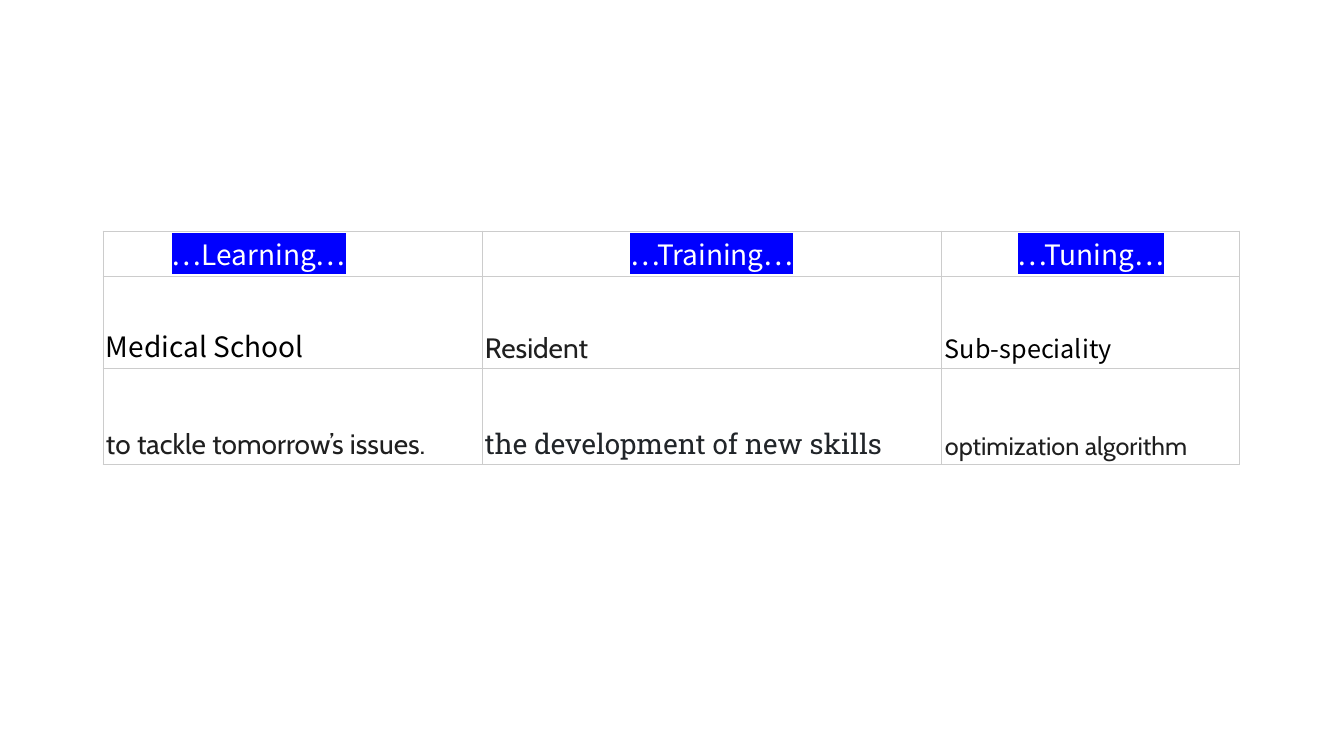
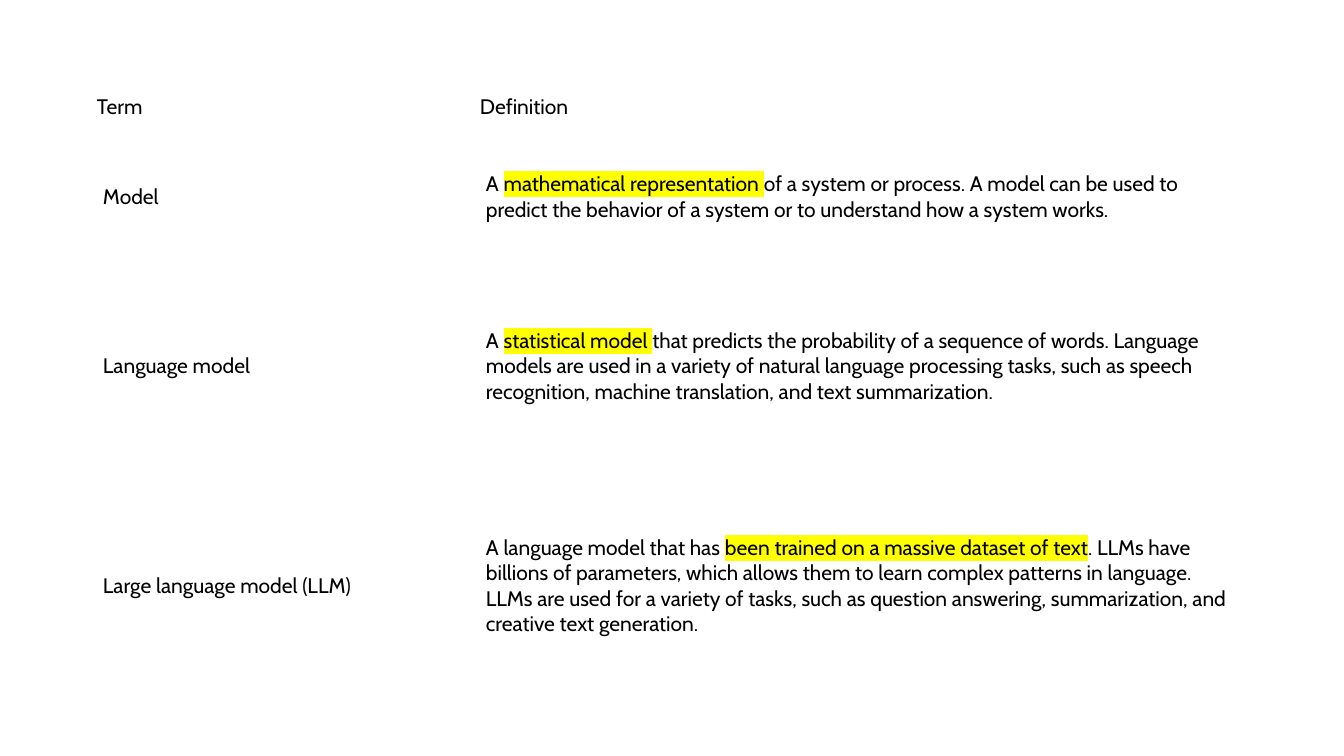
from lxml.etree import SubElement
from pptx import Presentation
from pptx.dml.color import RGBColor
from pptx.enum.text import MSO_ANCHOR, PP_ALIGN
from pptx.oxml.ns import qn
from pptx.util import Emu, Pt

COLORS = {
    "white": "FFFFFF", "black": "000000", "ink": "1F1F1F", "slate": "212529",
    "grid": "CCCCCC", "blue": "0000FF", "yellow": "FFFF00",
}
CABIN, NOTO, ROBOTO = "Cabin", "Noto Sans CJK KR", "Roboto Slab"


class Deck:
    """Slides with plain tables in one shared style."""

    def __init__(self, width, height):
        self.prs = Presentation()
        self.prs.slide_width, self.prs.slide_height = self.px(width), self.px(height)

    def px(self, n):
        return Emu(round(n * 914400 / 100.8))

    def slide(self):
        self.s = self.prs.slides.add_slide(self.prs.slide_layouts[6])

    def table(self, x, y, cols, rows):
        frame = self.s.shapes.add_table(
            len(rows), len(cols), self.px(x), self.px(y), self.px(sum(cols)), self.px(sum(rows)))
        table = frame.table
        table.first_row = table.horz_banding = False
        for col, width in zip(table.columns, cols):
            col.width = self.px(width)
        for row, height in zip(table.rows, rows):
            row.height = self.px(height)
        return table

    def border(self, cell, color):
        tc_pr = cell._tc.get_or_add_tcPr()
        for side in ("a:lnL", "a:lnR", "a:lnT", "a:lnB"):
            ln = SubElement(tc_pr, qn(side), w=str(Pt(0.75)))
            SubElement(SubElement(ln, qn("a:solidFill")), qn("a:srgbClr"), val=COLORS[color])

    def cell(self, cell, runs, size, font, color, inset, anchor, align=PP_ALIGN.LEFT):
        cell.fill.solid()
        cell.fill.fore_color.rgb = RGBColor.from_string(COLORS["white"])
        cell.margin_left = cell.margin_right = self.px(inset[0])
        cell.margin_top = cell.margin_bottom = self.px(inset[1])
        cell.vertical_anchor = anchor
        p = cell.text_frame.paragraphs[0]
        p.alignment = align
        p.font.size, p.font.name = Pt(size), font
        p.font.color.rgb = RGBColor.from_string(COLORS[color])
        for text, highlight in runs:
            r = p.add_run()
            r.text = text
            if highlight:
                mark = SubElement(r._r.get_or_add_rPr(), qn("a:highlight"))
                SubElement(mark, qn("a:srgbClr"), val=COLORS[highlight])

    def tab_stop(self, cell, start, pos):
        cell.margin_left = self.px(start)
        p_pr = cell.text_frame.paragraphs[0]._p.get_or_add_pPr()
        tabs = p_pr.makeelement(qn("a:tabLst"))
        SubElement(tabs, qn("a:tab"), pos=str(self.px(pos)), algn="l")
        p_pr.insert(0, tabs)


def stages_slide(deck):
    deck.slide()
    table = deck.table(103, 231, [379, 460, 298], [45, 92, 96])
    heads = ["…Learning…\t", "…Training…", "…Tuning…"]
    body = [
        [("Medical School", 20, NOTO, "black"), ("Resident", 20, CABIN, "ink"),
         ("Sub-speciality", 18, NOTO, "black")],
        [("to tackle tomorrow’s issues.", 20, CABIN, "ink"),
         ("the development of new skills", 20, ROBOTO, "slate"),
         ("optimization algorithm", 18, CABIN, "ink")],
    ]
    for cell in table.iter_cells():
        deck.border(cell, "grid")
    for j, head in enumerate(heads):
        deck.cell(table.cell(0, j), [(head, "blue")], 20, NOTO, "white", (3, 2),
                  MSO_ANCHOR.BOTTOM, PP_ALIGN.CENTER if j else PP_ALIGN.LEFT)
    deck.tab_stop(table.cell(0, 0), 69, 243)
    for i, row in enumerate(body, 1):
        for j, (text, size, font, color) in enumerate(row):
            deck.cell(table.cell(i, j), [(text, None)], size, font, color, (3, 2),
                      MSO_ANCHOR.BOTTOM)


def terms_slide(deck):
    deck.slide()
    table = deck.table(89, 85, [383, 769], [44, 136, 203, 236])
    rows = [
        ("Term", [("Definition", None)]),
        ("Model", [
            ("A ", None), ("mathematical representation ", "yellow"),
            ("of a system or process. A model can be used to predict the behavior of a system "
             "or to understand how a system works.", None)]),
        ("Language model", [
            ("A ", None), ("statistical model ", "yellow"),
            ("that predicts the probability of a sequence of words. Language models are used "
             "in a variety of natural language processing tasks, such as speech recognition, "
             "machine translation, and text summarization.", None)]),
        ("Large language model (LLM)", [
            ("A language model that has ", None),
            ("been trained on a massive dataset of text", "yellow"),
            (". LLMs have billions of parameters, which allows them to learn complex patterns "
             "in language. LLMs are used for a variety of tasks, such as question answering, "
             "summarization, and creative text generation.", None)]),
    ]
    for i, (term, definition) in enumerate(rows):
        inset = (14, 14) if i else (8, 4)
        for j, runs in enumerate([[(term, None)], definition]):
            deck.cell(table.cell(i, j), runs, 15, CABIN, "black", inset, MSO_ANCHOR.MIDDLE)


def main():
    deck = Deck(1344, 756)
    stages_slide(deck)
    terms_slide(deck)
    deck.prs.save("out.pptx")


if __name__ == "__main__":
    main()
